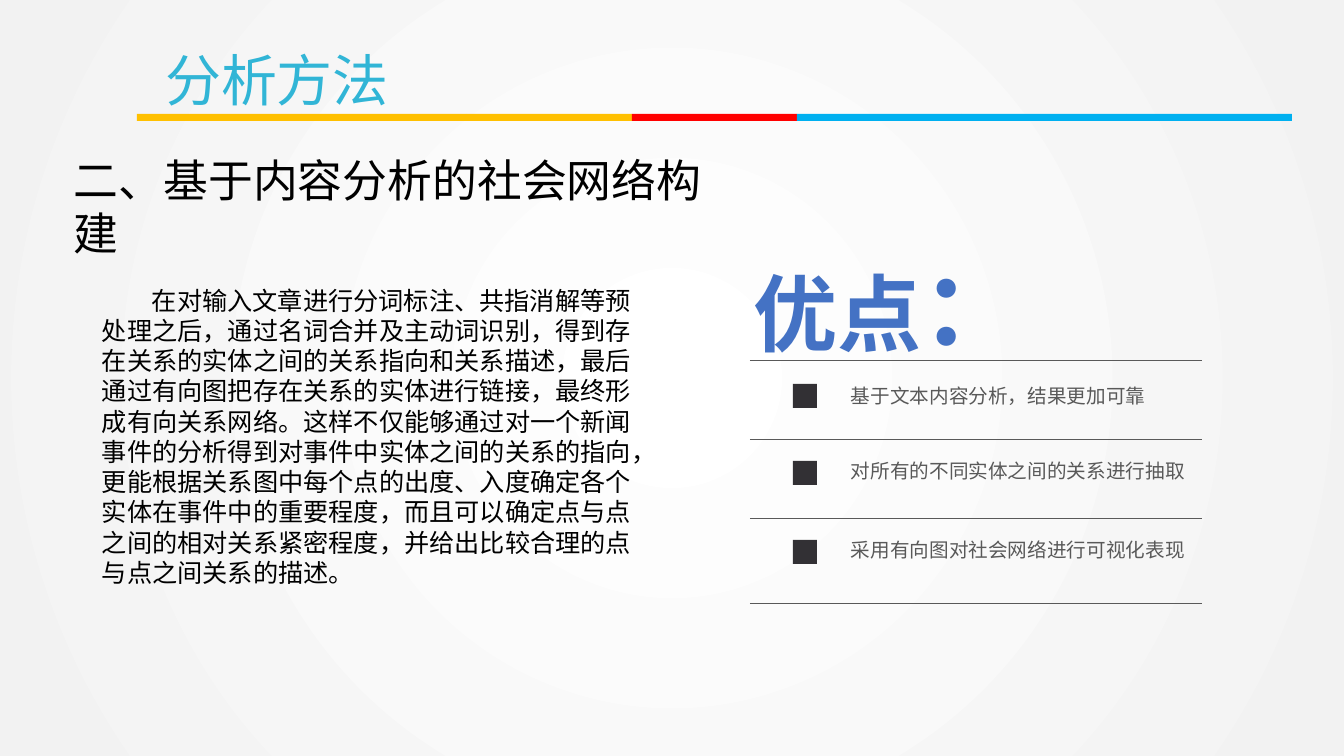
from lxml import etree
from pptx import Presentation
from pptx import util as u
from pptx.dml.color import RGBColor
from pptx.enum import shapes, text
from pptx.oxml import ns

PX = 914400 / 100.8  # EMU per px
FONT = "Noto Sans CJK SC"
WHITE = RGBColor(0xFF, 0xFF, 0xFF)
PALE = RGBColor(0xF2, 0xF2, 0xF2)
BLACK = RGBColor(0, 0, 0)
CYAN = RGBColor(0x31, 0xB5, 0xD6)
YELLOW = RGBColor(0xFF, 0xC0, 0x00)
RED = RGBColor(0xFF, 0x00, 0x00)
SKY = RGBColor(0x00, 0xB0, 0xF0)
BLUE = RGBColor(0x44, 0x72, 0xC4)
GREY = RGBColor(0x59, 0x59, 0x59)
DARK = RGBColor(0x32, 0x30, 0x34)

BODY = (
    "在对输入文章进行分词标注、共指消解等预处理之后，通过名词合并及主动词识别，"
    "得到存在关系的实体之间的关系指向和关系描述，最后通过有向图把存在关系的实体进行链接，"
    "最终形成有向关系网络。这样不仅能够通过对一个新闻事件的分析得到对事件中实体之间的关系的指向，"
    "更能根据关系图中每个点的出度、入度确定各个实体在事件中的重要程度，"
    "而且可以确定点与点之间的相对关系紧密程度，并给出比较合理的点与点之间关系的描述。"
)
# Text, then the tops of the rule, the square and the text box
ADVANTAGES = [
    ("基于文本内容分析，结果更加可靠", 0, 24, 13),
    ("对所有的不同实体之间的关系进行抽取", 79, 101, 88),
    ("采用有向图对社会网络进行可视化表现", 158, 180, 167),
]


def px(*lengths):
    return [u.Emu(round(length * PX)) for length in lengths]


def set_all(target, values):
    for name, value in values.items():
        setattr(target, name, value)


def write(shape, runs, spacing, color, latin=FONT, bold=False, wrap=True,
          align=text.PP_ALIGN.LEFT, indent=0):
    """Fill a text shape with one paragraph of (wording, size) runs."""
    frame = shape.text_frame
    set_all(frame, {"word_wrap": wrap, "auto_size": text.MSO_AUTO_SIZE.NONE,
                    "vertical_anchor": text.MSO_ANCHOR.TOP})
    paragraph = frame.paragraphs[0]
    set_all(paragraph, {"alignment": align, "line_spacing": u.Pt(spacing)})
    if indent:
        properties = paragraph._p.get_or_add_pPr()
        properties.set("marL", "0")
        properties.set("indent", str(px(indent)[0]))
    for wording, size in runs:
        run = paragraph.add_run()
        run.text = wording
        set_all(run.font, {"name": latin, "size": u.Pt(size), "bold": bold})
        run.font.color.rgb = color
        east_asian = etree.Element(ns.qn("a:ea"), typeface=FONT)
        run._r.rPr.find(ns.qn("a:latin")).addnext(east_asian)


def add_text(slide, box, runs, spacing, color, **options):
    write(slide.shapes.add_textbox(*px(*box)), runs, spacing, color, **options)


def add_block(slide, box, color):
    block = slide.shapes.add_shape(shapes.MSO_SHAPE.RECTANGLE, *px(*box))
    block.shadow.inherit = False
    block.fill.solid()
    block.fill.fore_color.rgb = color
    block.line.fill.background()


def add_rule(slide, left, top, width):
    rule = slide.shapes.add_connector(
        shapes.MSO_CONNECTOR.STRAIGHT, *px(left, top, left + width, top))
    rule.line.color.rgb = GREY
    rule.line.width = u.Pt(0.5)
    etree.SubElement(rule._element.spPr, ns.qn("a:effectLst"))


def paint_background(slide):
    """Radial gradient, white in the middle."""
    fill = slide.background.fill
    fill.gradient()
    for stop, color in zip(fill.gradient_stops, (WHITE, PALE)):
        stop.color.rgb = color
    gradient = slide._element.find(".//" + ns.qn("a:gradFill"))
    linear = gradient.find(ns.qn("a:lin"))
    circle = etree.Element(ns.qn("a:path"))
    circle.set("path", "circle")
    etree.SubElement(circle, ns.qn("a:fillToRect"),
                     dict.fromkeys("ltrb", "50000"))
    gradient.replace(linear, circle)


def build_header(slide, left, top, width):
    """Title above a strip of seven equal bars."""
    title = slide.shapes.title
    set_all(title, dict(zip(("left", "top", "width", "height"),
                            px(left + 18, top - 74, 857, 72))))
    write(title, [("分析方法", 40)], 48, CYAN)
    colors = [YELLOW] * 3 + [RED] + [SKY] * 3
    step = width / len(colors)
    for index, color in enumerate(colors):
        add_block(slide, (left + index * step, top, step, 7), color)


def build_method(slide, left, top):
    """Heading and the indented description."""
    add_text(slide, (left, top, 690, 118),
             [("二、基于内容分析的社会网络构建", 32)], 38, BLACK)
    add_text(slide, (left + 28, top + 132, 552, 312), [(BODY, 18)], 21.6,
             BLACK, latin="Calibri", indent=50)


def build_advantages(slide, left, top, width):
    """Large label and a ruled list with square markers."""
    add_text(slide, (left - 7, top - 131, 290, 131),
             [("优点", 60), ("：", 72)], 94, BLUE, latin="Calibri",
             bold=True, wrap=False, align=text.PP_ALIGN.CENTER)
    for wording, rule, square, label in ADVANTAGES:
        add_rule(slide, left, top + rule, width)
        add_block(slide, (left + 43, top + square, 24, 24), DARK)
        add_text(slide, (left + 91, top + label, 369, 39),
                 [(wording, 14)], 21, GREY)
    add_rule(slide, left, top + 243, width)


def main():
    presentation = Presentation()
    set_all(presentation, dict(zip(("slide_width", "slide_height"),
                                   px(1344, 756))))
    slide = presentation.slides.add_slide(presentation.slide_layouts[5])
    paint_background(slide)
    build_header(slide, 137, 114, 1155)
    build_method(slide, 64, 148)
    build_advantages(slide, 750, 360, 452)
    presentation.save("out.pptx")


if __name__ == "__main__":
    main()
